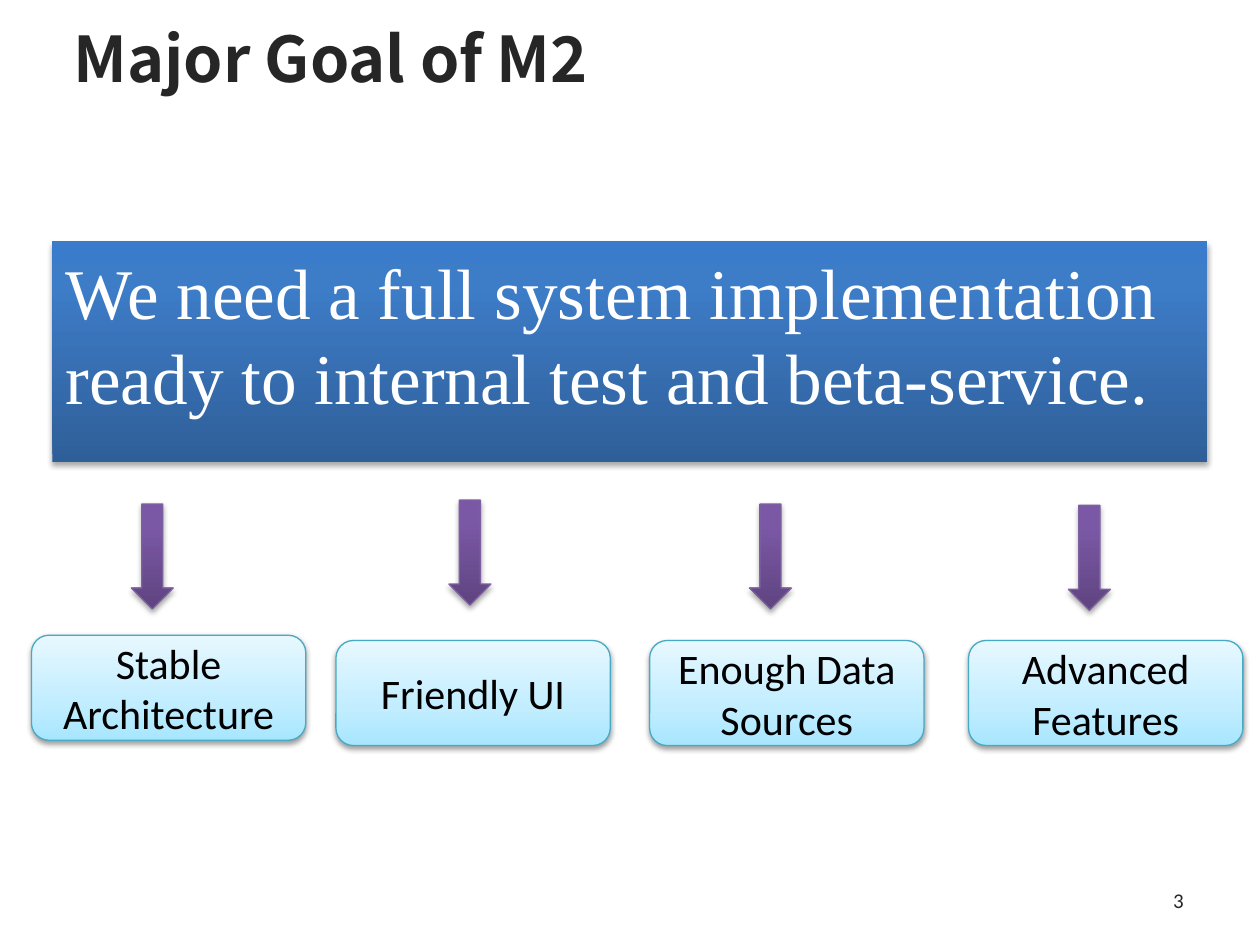
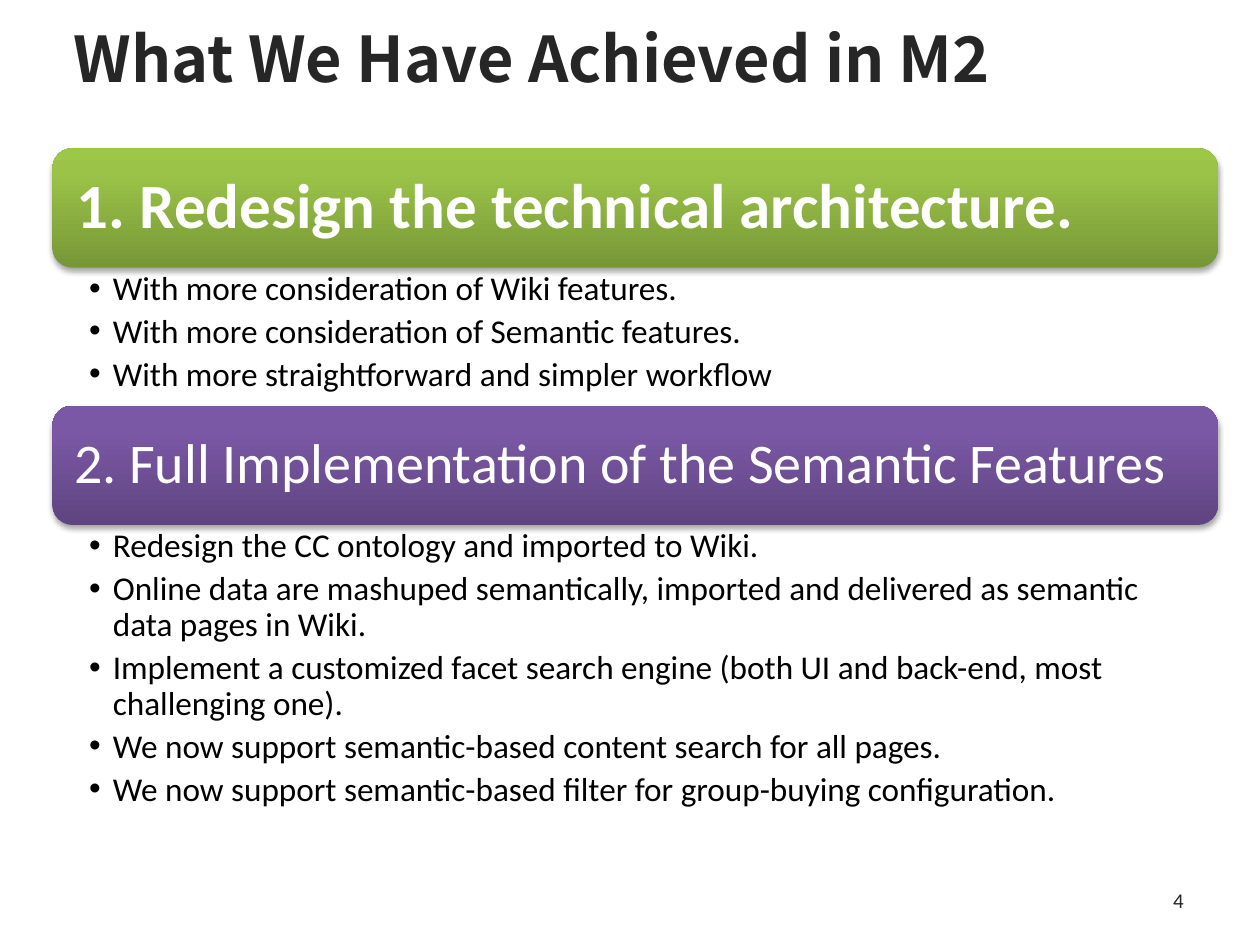
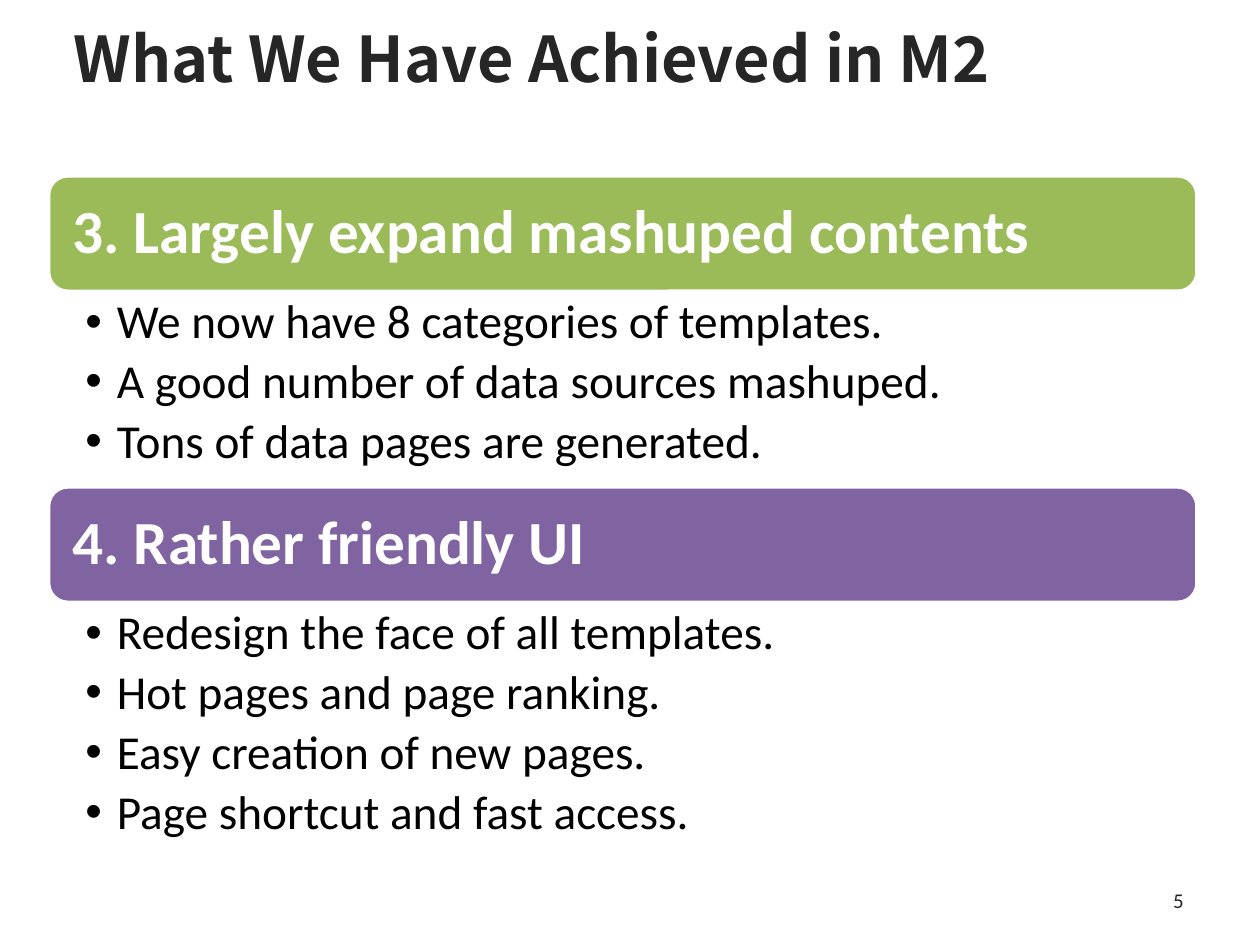
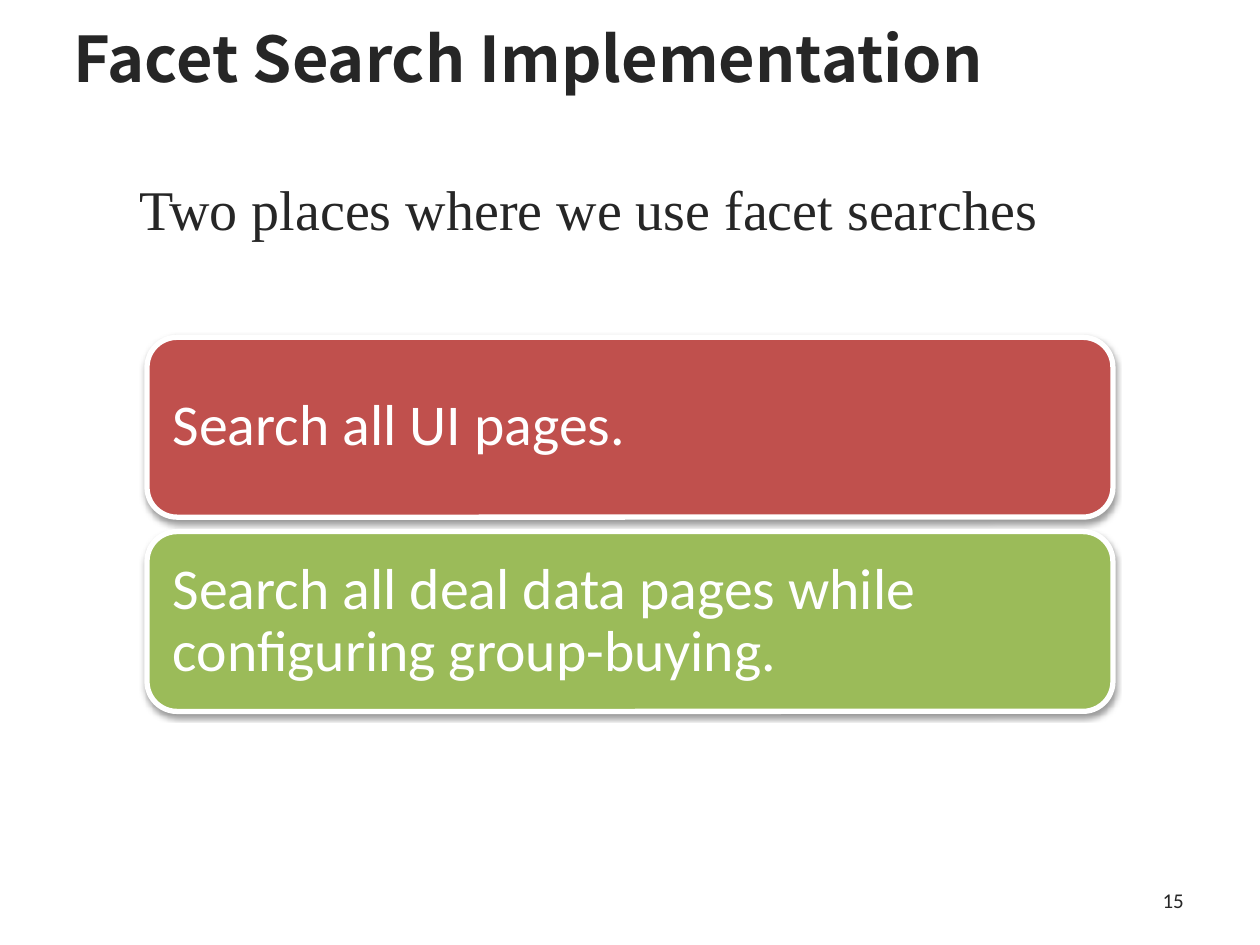
"""Build four slides on the goal and the achievements of milestone M2."""
from copy import deepcopy

from lxml.etree import SubElement
from pptx import Presentation
from pptx.dml.color import RGBColor
from pptx.enum.shapes import MSO_SHAPE
from pptx.enum.text import MSO_ANCHOR, MSO_AUTO_SIZE, PP_ALIGN
from pptx.oxml.ns import qn
from pptx.util import Pt

PX = 9525
INK, WHITE, BLACK = "262626", "FFFFFF", "000000"
GREEN, PURPLE, RED = "9BBB59", "8064A2", "C0504D"
BLUE_FADE = [(0, "2F5F99"), (0.8, "3D7CC7"), (1, "3A7CCB")]
SKY_FADE = [(0, "A7E6FF"), (0.35, "C1EDFF"), (1, "E7F8FF")]
GREEN_FADE = [(0, "779737"), (0.8, "9BC348"), (1, "9DC746")]
PURPLE_FADE = [(0, "5F4480"), (0.8, "7B58A6"), (1, "7C57A8")]
STRONG_SHADOW = {"blur": 40000, "dist": 23000, "alpha": 35000}
SOFT_SHADOW = {"blur": 40000, "dist": 20000, "alpha": 38000}


def paint(shape, fill, line=None, width=0.75, shadow=None):
    """Fill with one hex colour or a three-stop fade, then set outline and shadow."""
    if isinstance(fill, str):
        shape.fill.solid()
        shape.fill.fore_color.rgb = RGBColor.from_string(fill)
    else:
        shape.fill.gradient()
        shape.fill.gradient_angle = 90
        stops = shape._element.spPr.find(".//" + qn("a:gsLst"))
        stops.append(deepcopy(stops[0]))
        for stop, (position, shade) in zip(shape.fill.gradient_stops, fill):
            stop.position = position
            stop.color.rgb = RGBColor.from_string(shade)
    if line:
        shape.line.color.rgb = RGBColor.from_string(line)
        shape.line.width = Pt(width)
    else:
        shape.line.fill.background()
    shape.shadow.inherit = False
    if shadow:
        effects = shape._element.spPr.find(qn("a:effectLst"))
        outer = SubElement(effects, qn("a:outerShdw"), blurRad=str(shadow["blur"]),
                           dist=str(shadow["dist"]), dir="5400000", rotWithShape="0")
        shade = SubElement(outer, qn("a:srgbClr"), val=BLACK)
        SubElement(shade, qn("a:alpha"), val=str(shadow["alpha"]))


def write(shape, lines, size, shade, font="Calibri", bold=False, align=PP_ALIGN.LEFT,
          anchor=MSO_ANCHOR.MIDDLE, insets=(10, 5, 10, 5), layout=None):
    """Set the lines as paragraphs of one format."""
    frame = shape.text_frame
    frame.text = "\n".join(lines)
    frame_format = {"word_wrap": True, "auto_size": MSO_AUTO_SIZE.NONE, "vertical_anchor": anchor}
    for side, inset in zip(("left", "top", "right", "bottom"), insets):
        frame_format["margin_" + side] = inset * PX
    for key, value in frame_format.items():
        setattr(frame, key, value)
    for paragraph in frame.paragraphs:
        for key, value in {"alignment": align, **(layout or {})}.items():
            setattr(paragraph, key, value)
        for key, value in {"name": font, "size": Pt(size), "bold": bold}.items():
            setattr(paragraph.font, key, value)
        paragraph.font.color.rgb = RGBColor.from_string(shade)


prs = Presentation()
prs.slide_width, prs.slide_height = 960 * PX, 720 * PX
one_body, two_bodies = prs.slide_layouts[1], prs.slide_layouts[3]

pages = []
for heading, number, layout in [
    ("Major Goal of M2", "3", one_body),
    ("What We Have Achieved in M2", "4", two_bodies),
    ("What We Have Achieved in M2", "5", two_bodies),
    ("Facet Search Implementation", "15", one_body),
]:
    page = prs.slides.add_slide(layout)
    title = page.shapes.title
    title.left, title.top, title.width, title.height = [n * PX for n in (46, 8, 882, 72)]
    write(title, [heading], 36, INK, "Noto Sans CJK SC", bold=True)
    page_number = page.shapes.add_textbox(*[n * PX for n in (688, 667, 224, 38)])
    write(page_number, [number], 12, INK, align=PP_ALIGN.RIGHT)
    pages.append(page)
goal, technical, content, facet = pages

for page, box, sentence, size, shade in [
    (goal, (40, 184, 880, 168),
     "We need a full system implementation ready to internal test and beta-service.", 40.7, WHITE),
    (facet, (96, 128, 712, 72), "Two places where we use facet searches", 32, INK),
]:
    statement = page.placeholders[1]
    statement.left, statement.top, statement.width, statement.height = [n * PX for n in box]
    write(statement, [sentence], size, shade, "Times New Roman", anchor=MSO_ANCHOR.TOP)
    properties = statement.text_frame.paragraphs[0]._p.get_or_add_pPr()
    properties.set("marL", "0")
    properties.set("indent", "0")
    SubElement(properties, qn("a:buNone"))
paint(goal.placeholders[1], BLUE_FADE, shadow=STRONG_SHADOW)

for pillar, left, top, arrow_left, arrow_top in [
    ("Stable Architecture", 24, 484, 100, 384),
    ("Friendly UI", 256, 488, 342, 381),
    ("Enough Data Sources", 495, 488, 571, 384),
    ("Advanced Features", 738, 488, 814, 385),
]:
    pillar_box = goal.shapes.add_shape(
        MSO_SHAPE.ROUNDED_RECTANGLE, left * PX, top * PX, 209 * PX, 80 * PX)
    paint(pillar_box, SKY_FADE, "46AAC5", shadow=SOFT_SHADOW)
    write(pillar_box, [pillar], 24, BLACK, align=PP_ALIGN.CENTER)
    arrow = goal.shapes.add_shape(
        MSO_SHAPE.DOWN_ARROW, arrow_left * PX, arrow_top * PX, 32 * PX, 80 * PX)
    paint(arrow, PURPLE_FADE, "7D60A0", shadow=STRONG_SHADOW)

technical_style = {"left": 40, "width": 888, "band": 91, "size": 19, "indent": 18,
                   "after": 4, "insets": (28, 3, 18, 3),
                   "paint": {"shadow": STRONG_SHADOW}}
content_style = {"left": 37, "width": 875, "band": 88, "size": 27, "indent": 24,
                 "after": 5, "insets": (28, 5, 26, 5),
                 "paint": {"line": WHITE, "width": 2}}
for page, style, slot, top, list_height, fill, achievement, size, bold, inset, details in [
    (technical, technical_style, 1, 113, 105, GREEN_FADE,
     "1. Redesign the technical architecture.", 36, True, 14,
     ["With more consideration of Wiki features.",
      "With more consideration of Semantic features.",
      "With more straightforward and simpler workflow"]),
    (technical, technical_style, 2, 309, 229, PURPLE_FADE,
     "2. Full Implementation of the Semantic Features", 32, False, 12,
     ["Redesign the CC ontology and imported to Wiki.",
      "Online data are mashuped semantically, imported and delivered as semantic "
      "data pages in Wiki.",
      "Implement a customized facet search engine (both UI and back-end, most "
      "challenging one).",
      "We now support semantic-based content search for all pages.",
      "We now support semantic-based filter for group-buying configuration."]),
    (content, content_style, 1, 134, 149, GREEN,
     "3. Largely expand mashuped contents", 35, True, 14,
     ["We now have 8 categories of templates.",
      "A good number of data sources mashuped.",
      "Tons of data pages are generated."]),
    (content, content_style, 2, 371, 194, PURPLE,
     "4. Rather friendly UI", 35, True, 14,
     ["Redesign the face of all templates.",
      "Hot pages and page ranking.",
      "Easy creation of new pages.",
      "Page shortcut and fast access."]),
]:
    left, width = style["left"] * PX, style["width"] * PX
    band = page.shapes.add_shape(
        MSO_SHAPE.ROUNDED_RECTANGLE, left, top * PX, width, style["band"] * PX)
    paint(band, fill, **style["paint"])
    write(band, [achievement], size, WHITE, bold=bold, insets=[inset] * 4,
          layout={"line_spacing": 0.9})
    detail_list = page.placeholders[slot]
    detail_list.left, detail_list.top = left, (top + style["band"]) * PX
    detail_list.width, detail_list.height = width, list_height * PX
    write(detail_list, details, style["size"], BLACK, anchor=MSO_ANCHOR.TOP,
          insets=style["insets"],
          layout={"line_spacing": 0.9, "space_before": Pt(0), "space_after": Pt(style["after"])})
    for paragraph in detail_list.text_frame.paragraphs:
        properties = paragraph._p.get_or_add_pPr()
        properties.set("marL", str(style["indent"] * PX))
        properties.set("indent", str(-style["indent"] * PX))

for row, (place, fill) in enumerate([
    ("Search all UI pages.", RED),
    ("Search all deal data pages while configuring group-buying.", GREEN),
]):
    card = facet.shapes.add_shape(
        MSO_SHAPE.ROUNDED_RECTANGLE, 112 * PX, (257 + 148 * row) * PX, 736 * PX, 137 * PX)
    paint(card, fill, WHITE, 3, SOFT_SHADOW)
    write(card, [place], 33, WHITE, insets=[13] * 4, layout={"line_spacing": 0.9})

prs.save("out.pptx")
